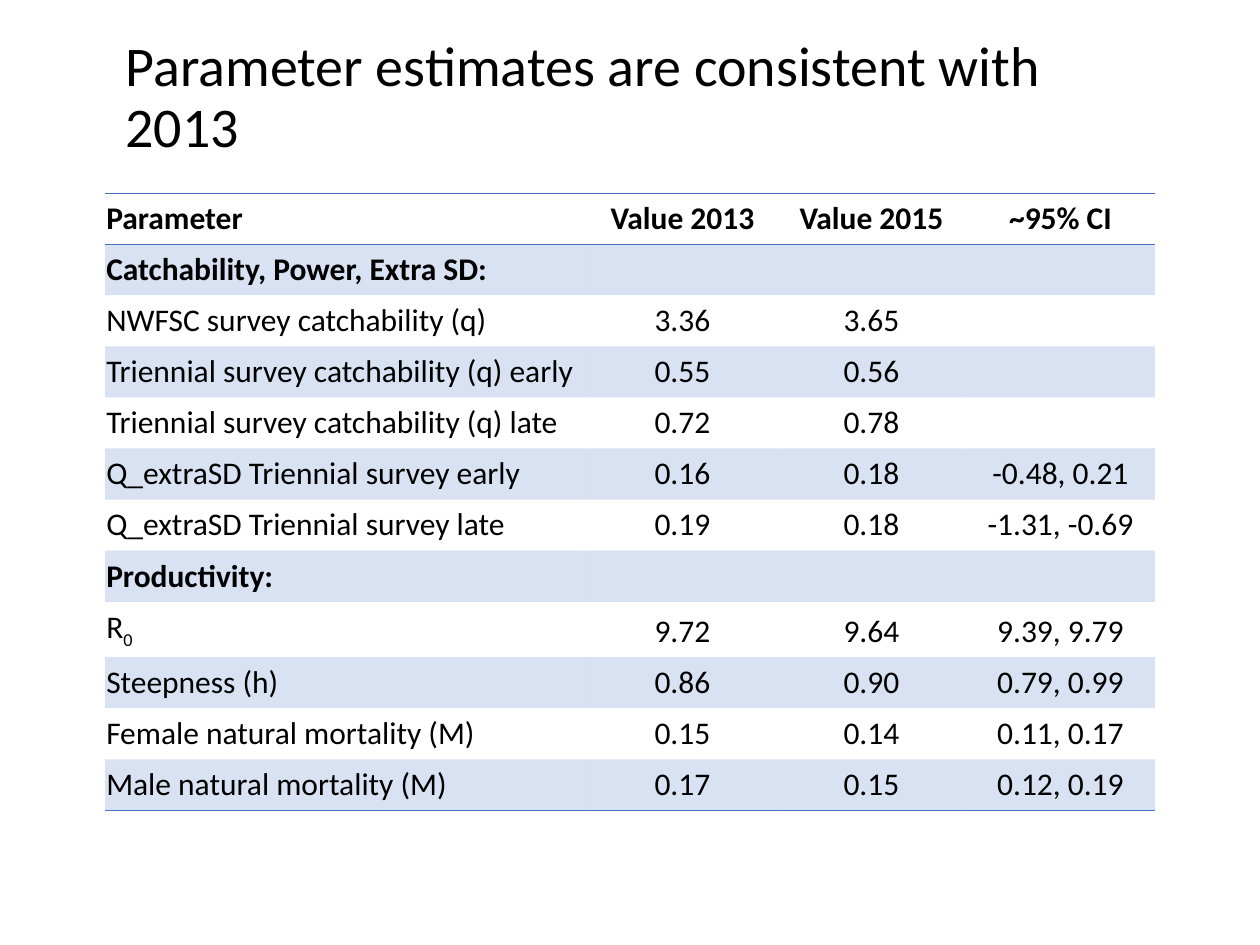
"""Build a slide with a table comparing parameter estimates for 2013 and 2015."""
import lxml.etree
import pptx
import pptx.dml.color
import pptx.enum.text
import pptx.oxml.ns
import pptx.util

TITLE = "Parameter estimates are consistent with 2013"
HEADER = ("Parameter", "Value 2013", "Value 2015", "~95% CI")
SECTIONS = {
    "Catchability, Power, Extra SD:": [
        ("NWFSC survey catchability (q)", "3.36", "3.65", ""),
        ("Triennial survey catchability (q) early", "0.55", "0.56", ""),
        ("Triennial survey catchability (q) late", "0.72", "0.78", ""),
        ("Q_extraSD Triennial survey early", "0.16", "0.18", "-0.48, 0.21"),
        ("Q_extraSD Triennial survey late", "0.19", "0.18", "-1.31, -0.69"),
    ],
    "Productivity:": [
        (("R", "0"), "9.72", "9.64", "9.39, 9.79"),
        ("Steepness (h)", "0.86", "0.90", "0.79, 0.99"),
        ("Female natural mortality (M)", "0.15", "0.14", "0.11, 0.17"),
        ("Male natural mortality (M)", "0.17", "0.15", "0.12, 0.19"),
    ],
}

BLACK = pptx.dml.color.RGBColor(0x00, 0x00, 0x00)
BLUE = pptx.dml.color.RGBColor(0x44, 0x72, 0xC4)
SLIDE_SIZE = (1260, 945)
TITLE_BOX = (113, 0, 1040, 198)
TABLE_ORIGIN = (105, 193)
COLUMN_WIDTHS = (483, 189, 189, 189)
ROW_HEIGHT = 51
TITLE_FONT = {"name": "Calibri", "size": pptx.util.Pt(32)}
TABLE_FONT = {"name": "Calibri", "size": pptx.util.Pt(18)}
CELL_FORMAT = {
    "margin_left": pptx.util.Inches(0.01),
    "margin_right": pptx.util.Inches(0.01),
    "margin_top": pptx.util.Inches(0.05),
    "margin_bottom": pptx.util.Inches(0.05),
    "vertical_anchor": pptx.enum.text.MSO_ANCHOR.BOTTOM,
}
BAND_ALPHA = 20000
RULE_WIDTH = pptx.util.Pt(0.45)
SUBSCRIPT = "-25000"


def px(length):
    return pptx.util.Emu(round(length * 914400 / 126))


def set_attributes(target, values):
    for name, value in values.items():
        setattr(target, name, value)


def add_element(parent, tag, **attributes):
    element = lxml.etree.SubElement(parent, pptx.oxml.ns.qn(tag))
    for name, value in attributes.items():
        element.set(name, str(value))
    return element


def set_borders(cell, ruled_sides):
    properties = cell._tc.get_or_add_tcPr()
    for side in "LRTB":
        line = add_element(properties, f"a:ln{side}", w=RULE_WIDTH)
        if side in ruled_sides:
            add_element(add_element(line, "a:solidFill"), "a:srgbClr", val=BLUE)
        else:
            add_element(line, "a:noFill")


def set_band(cell, banded):
    if not banded:
        cell.fill.background()
        return
    cell.fill.solid()
    cell.fill.fore_color.rgb = BLUE
    fill = cell._tc.tcPr.find(pptx.oxml.ns.qn("a:solidFill"))
    add_element(fill[0], "a:alpha", val=BAND_ALPHA)


def add_runs(paragraph, parts, font_values):
    for position, text in enumerate(parts):
        run = paragraph.add_run()
        run.text = text
        set_attributes(run.font, font_values)
        run.font.color.rgb = BLACK
        if position:
            run._r.get_or_add_rPr().set("baseline", SUBSCRIPT)


def add_title(slide):
    title = slide.shapes.title
    set_attributes(title, dict(zip(("left", "top", "width", "height"), map(px, TITLE_BOX))))
    title.text_frame.word_wrap = True
    title.text_frame.vertical_anchor = pptx.enum.text.MSO_ANCHOR.MIDDLE
    paragraph = title.text_frame.paragraphs[0]
    paragraph.alignment = pptx.enum.text.PP_ALIGN.LEFT
    paragraph.line_spacing = 0.9
    add_runs(paragraph, [TITLE], TITLE_FONT)


def add_estimates(slide):
    rows = [HEADER]
    for heading, estimates in SECTIONS.items():
        rows += [(heading, "", "", ""), *estimates]
    left, top = map(px, TABLE_ORIGIN)
    width, height = px(sum(COLUMN_WIDTHS)), px(ROW_HEIGHT * len(rows))
    table = slide.shapes.add_table(len(rows), len(HEADER), left, top, width, height).table
    set_attributes(table, {"first_row": False, "horz_banding": False})
    for column, column_width in zip(table.columns, COLUMN_WIDTHS):
        column.width = px(column_width)
    for row_index, values in enumerate(rows):
        table.rows[row_index].height = px(ROW_HEIGHT)
        bold = row_index == 0 or values[0] in SECTIONS
        ruled_sides = {0: "TB", 1: "T", len(rows) - 1: "B"}.get(row_index, "")
        for column_index, value in enumerate(values):
            cell = table.cell(row_index, column_index)
            set_attributes(cell, CELL_FORMAT)
            set_borders(cell, ruled_sides)
            set_band(cell, row_index % 2 == 1)
            paragraph = cell.text_frame.paragraphs[0]
            if column_index:
                paragraph.alignment = pptx.enum.text.PP_ALIGN.CENTER
            if value:
                parts = [value] if isinstance(value, str) else value
                add_runs(paragraph, parts, {**TABLE_FONT, "bold": bold})


def main():
    presentation = pptx.Presentation()
    presentation.slide_width, presentation.slide_height = map(px, SLIDE_SIZE)
    slide = presentation.slides.add_slide(presentation.slide_layouts.get_by_name("Title Only"))
    add_title(slide)
    add_estimates(slide)
    presentation.save("out.pptx")


if __name__ == "__main__":
    main()
